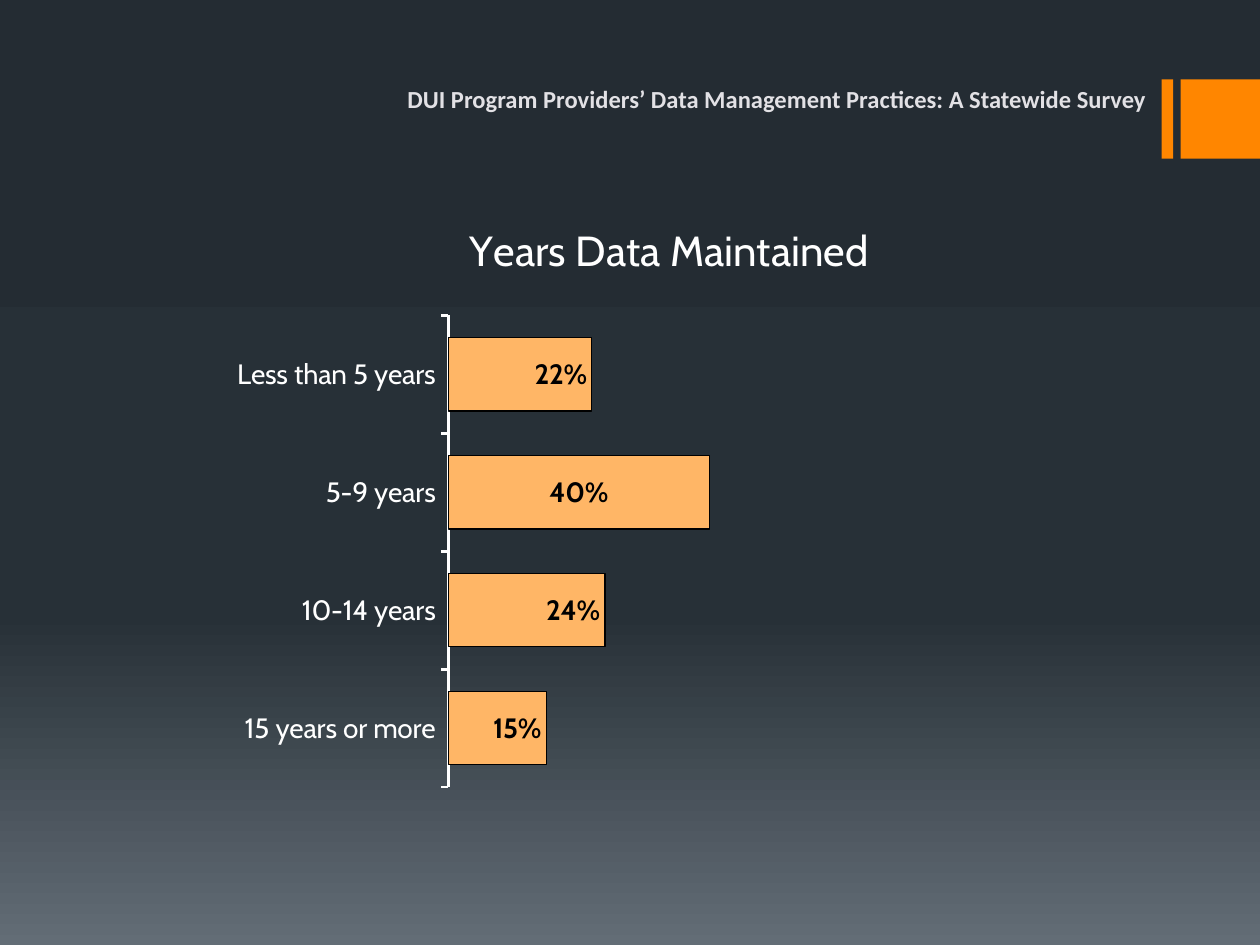
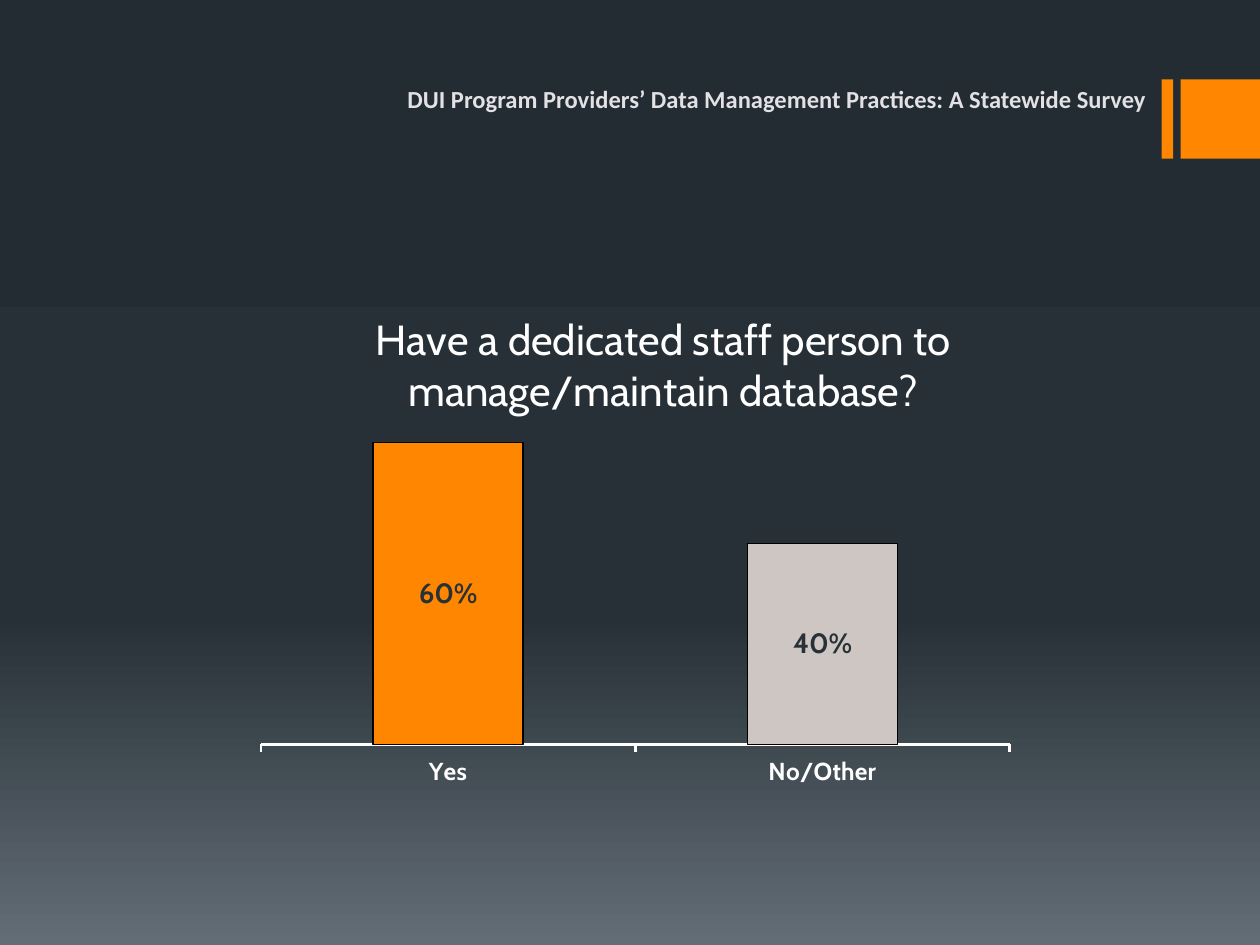
from copy import deepcopy
from lxml import etree
from pptx import Presentation
from pptx.chart.data import CategoryChartData
from pptx.dml.color import RGBColor
from pptx.enum.chart import XL_CHART_TYPE, XL_LABEL_POSITION, XL_TICK_LABEL_POSITION, XL_TICK_MARK
from pptx.enum.shapes import MSO_SHAPE
from pptx.enum.text import MSO_ANCHOR, MSO_AUTO_SIZE, PP_ALIGN
from pptx.oxml.ns import qn
from pptx.util import Inches, Pt

HEADER = "DUI Program Providers’ Data Management Practices: A Statewide Survey"
ORANGE, WHITE, BLACK = "FF8600", "FFFFFF", "000000"
BACKGROUND = [(0, "242C33"), (0.65, "273037"), (1, "636D76")]
BANDS = [(9.22, 0.09), (9.37, 0.63)]
BAND_TOP, BAND_HEIGHT = 0.63, 0.63

CHARTS = [
    {
        "title": "Years Data Maintained",
        "type": XL_CHART_TYPE.BAR_CLUSTERED,
        "box": (1.42, 1.5, 7.5, 4.9),
        "values": {"15 years or more": 0.15, "10-14 years": 0.24,
                   "5-9 years": 0.4, "Less than 5 years": 0.22},
        "fill": "FFB666", "point_fills": [], "gap": 61,
        "plot": (0.285, 0.205, 0.691, 0.764), "title_at": (0.3, 0.04),
        "size": 10, "category_size": 16, "category_bold": False,
        "label_color": BLACK, "label_position": XL_LABEL_POSITION.INSIDE_END,
        "centered_points": [2],
    },
    {
        "title": "Have a dedicated staff person to manage/maintain database?",
        "type": XL_CHART_TYPE.COLUMN_CLUSTERED,
        "box": (1.92, 1.92, 6.25, 4.33),
        "values": {"Yes": 0.6, "No/Other": 0.4},
        "fill": "838D9B", "point_fills": [ORANGE, "CDC6C3"], "gap": 150,
        "plot": (0.024, 0, 0.951, 0.921), "title_at": (0.16, 0.11),
        "size": 12, "category_size": 14, "category_bold": True,
        "label_color": "283138", "label_position": XL_LABEL_POSITION.CENTER,
        "centered_points": [],
    },
]


def color(hex_text):
    return RGBColor.from_string(hex_text)


def paint(fill, hex_text):
    fill.solid()
    fill.fore_color.rgb = color(hex_text)


def style_font(font, name, size, hex_text, bold=False):
    font.name, font.size, font.bold = name, Pt(size), bold
    font.color.rgb = color(hex_text)


def set_background(master):
    fill = master.background.fill
    fill.gradient()
    fill.gradient_angle = 270
    last = fill.gradient_stops[-1]._gs
    last.addprevious(deepcopy(last))
    for stop, (position, hex_text) in zip(fill.gradient_stops, BACKGROUND):
        stop.position = position
        stop.color.rgb = color(hex_text)


def add_bands(slide):
    for left, width in BANDS:
        band = slide.shapes.add_shape(MSO_SHAPE.RECTANGLE, Inches(left), Inches(BAND_TOP),
                                      Inches(width), Inches(BAND_HEIGHT))
        band.shadow.inherit = False
        paint(band.fill, ORANGE)
        band.line.fill.background()


def add_header(slide):
    header = slide.shapes.title
    header.left, header.top = Inches(1.67), Inches(0.67)
    header.width, header.height = Inches(7.53), Inches(0.33)
    frame = header.text_frame
    frame.auto_size, frame.word_wrap = MSO_AUTO_SIZE.NONE, True
    frame.vertical_anchor = MSO_ANCHOR.TOP
    frame.margin_left = frame.margin_right = Inches(0.1)
    frame.margin_top, frame.margin_bottom = Inches(0), Inches(0.05)
    paragraph = frame.paragraphs[0]
    paragraph.alignment = PP_ALIGN.RIGHT
    run = paragraph.add_run()
    run.text = HEADER
    style_font(run.font, "Calibri", 14, "E2E1E5", True)


def set_layout(parent, after, settings):
    for old in parent.findall(qn("c:layout")):
        parent.remove(old)
    layout = etree.Element(qn("c:layout"))
    manual = etree.SubElement(layout, qn("c:manualLayout"))
    for tag, value in settings:
        etree.SubElement(manual, qn("c:" + tag)).set("val", str(value))
    if after is None:
        parent.insert(0, layout)
    else:
        after.addnext(layout)


def add_title(chart, text, position):
    title = chart.chart_title
    run = title.text_frame.paragraphs[0].add_run()
    run.text = text
    style_font(run.font, "Cabin", 24, WHITE)
    element = title._element
    set_layout(element, element.find(qn("c:tx")),
               [("xMode", "edge"), ("yMode", "edge"), *zip("xy", position)])
    title.include_in_layout = True
    element.find(qn("c:overlay")).set("val", "1")


def style_axes(chart, content):
    values = chart.value_axis
    values.minimum_scale, values.maximum_scale = 0, 1
    values.has_major_gridlines = False
    values.visible = False
    categories = chart.category_axis
    categories.has_major_gridlines = False
    categories.major_tick_mark = XL_TICK_MARK.OUTSIDE
    categories.minor_tick_mark = XL_TICK_MARK.NONE
    categories.tick_label_position = XL_TICK_LABEL_POSITION.LOW
    categories.format.line.color.rgb = color(WHITE)
    categories.format.line.width = Pt(1.5)
    style_font(categories.tick_labels.font, "Cabin", content["category_size"],
               WHITE, content["category_bold"])


def style_bars(plot, content):
    plot.gap_width = content["gap"]
    plot.vary_by_categories = False
    series = plot.series[0]
    paint(series.format.fill, content["fill"])
    outlined = [series]
    for index, hex_text in enumerate(content["point_fills"]):
        point = series.points[index]
        paint(point.format.fill, hex_text)
        outlined.append(point)
    for bar in outlined:
        bar.format.line.color.rgb = color(BLACK)
        bar.format.line.width = Pt(0.75)
    labels = series.data_labels
    labels.show_value = True
    labels.number_format, labels.number_format_is_linked = "0%", False
    labels.position = content["label_position"]
    style_font(labels.font, "Cabin", 16, content["label_color"], True)
    for index in content["centered_points"]:
        label = series.points[index].data_label
        style_font(label.font, "Cabin", 16, content["label_color"], True)
        label.position = XL_LABEL_POSITION.CENTER


def add_chart(slide, content):
    data = CategoryChartData(number_format="0%")
    data.categories = list(content["values"])
    data.add_series("Series 1", list(content["values"].values()))
    box = [Inches(length) for length in content["box"]]
    chart = slide.shapes.add_chart(content["type"], *box, data).chart
    chart.has_legend = False
    style_font(chart.font, "Arial", content["size"], WHITE)
    add_title(chart, content["title"], content["title_at"])
    style_axes(chart, content)
    style_bars(chart.plots[0], content)
    plot_area = chart._chartSpace.chart.plotArea
    set_layout(plot_area, None, [("layoutTarget", "inner"), ("xMode", "edge"),
                                 ("yMode", "edge"), *zip("xywh", content["plot"])])


presentation = Presentation()
presentation.slide_width, presentation.slide_height = Inches(10), Inches(7.5)
set_background(presentation.slide_master)
for content in CHARTS:
    slide = presentation.slides.add_slide(presentation.slide_layouts[5])
    add_bands(slide)
    add_header(slide)
    add_chart(slide, content)
presentation.save("out.pptx")
